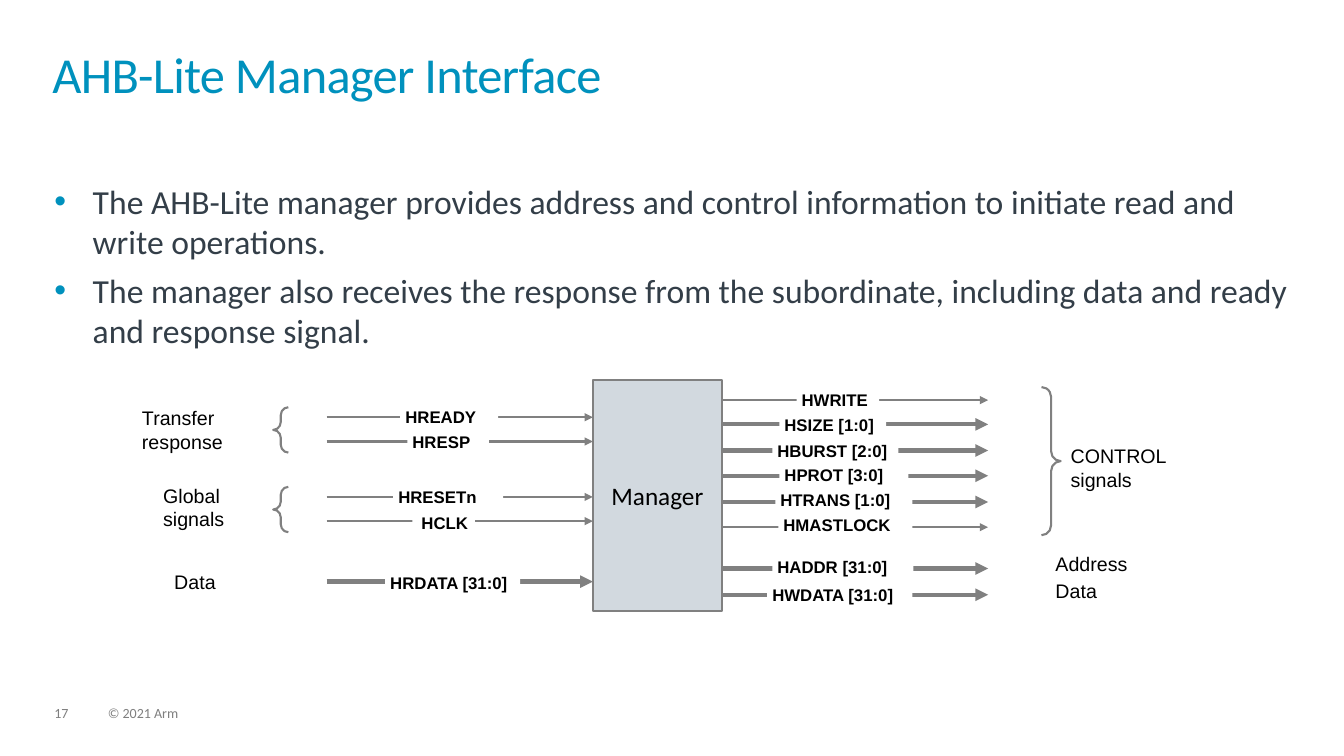
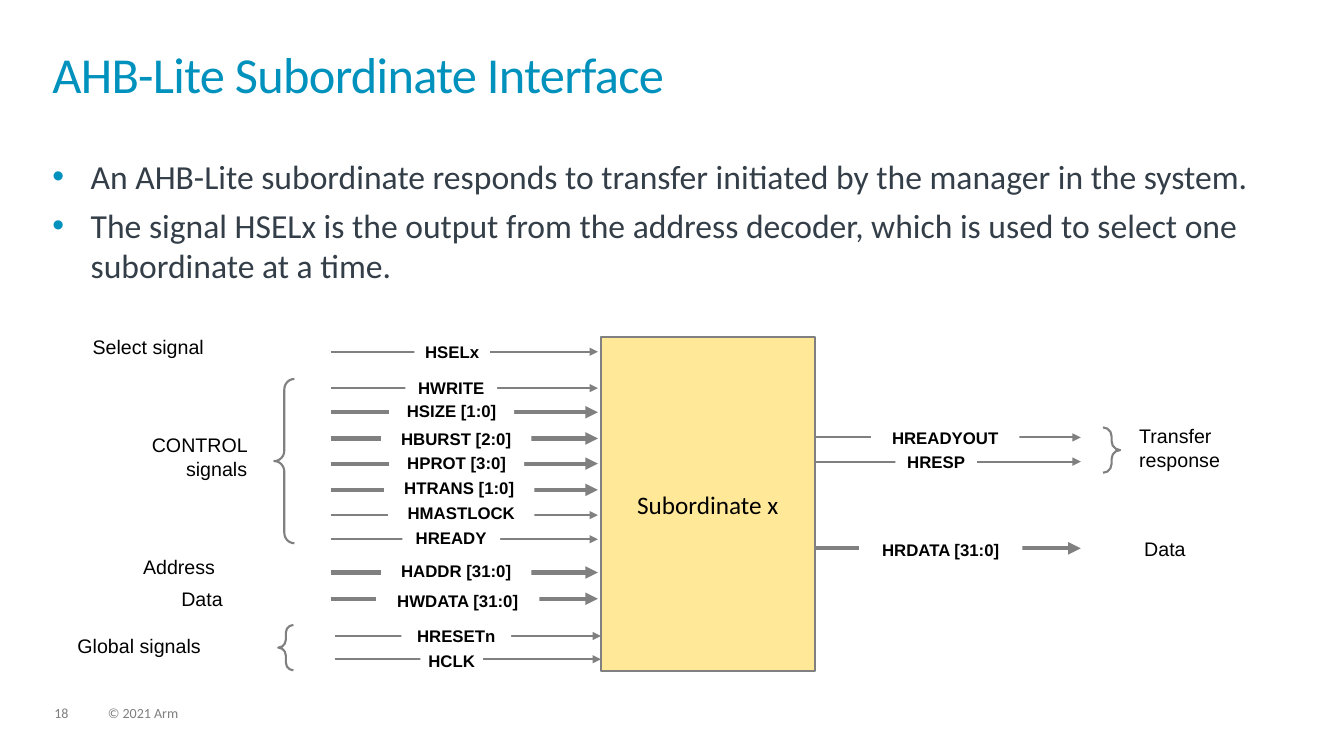
"""Build two slides on the AHB-Lite manager and subordinate interfaces."""

from dataclasses import dataclass
from typing import Any

import lxml.etree
import pptx
import pptx.dml.color
import pptx.enum.shapes
import pptx.enum.text
import pptx.oxml.ns
import pptx.presentation
import pptx.shapes.autoshape
import pptx.slide
import pptx.text.text
import pptx.util

Inches = pptx.util.Inches
Pt = pptx.util.Pt
RGBColor = pptx.dml.color.RGBColor
Align = pptx.enum.text.PP_ALIGN
Anchor = pptx.enum.text.MSO_ANCHOR
AutoSize = pptx.enum.text.MSO_AUTO_SIZE
Preset = pptx.enum.shapes.MSO_SHAPE
qn = pptx.oxml.ns.qn


@dataclass(frozen=True)
class TextStyle:
    font: str
    size: float
    color: RGBColor
    bold: bool = False


@dataclass(frozen=True)
class Theme:
    accent: RGBColor = RGBColor(0x00, 0x91, 0xBD)
    ink: RGBColor = RGBColor(0x33, 0x3E, 0x48)
    black: RGBColor = RGBColor(0, 0, 0)
    white: RGBColor = RGBColor(0xFF, 0xFF, 0xFF)
    line: RGBColor = RGBColor(0x80, 0x80, 0x80)
    muted: RGBColor = RGBColor(0x7F, 0x7F, 0x7F)
    manager: RGBColor = RGBColor(0xD2, 0xD9, 0xDF)
    subordinate: RGBColor = RGBColor(0xFF, 0xE9, 0x99)
    title: TextStyle = TextStyle("Calibri", 36, accent)
    body: TextStyle = TextStyle("Calibri", 24, ink)
    block: TextStyle = TextStyle("Calibri", 18, black)
    group: TextStyle = TextStyle("Arial", 14, black)
    signal: TextStyle = TextStyle("Arial", 12, black, True)
    footer: TextStyle = TextStyle("Calibri", 10, muted)
    thin: float = 1.5
    thick: float = 3


THEME = Theme()
NO_MARGINS = dict.fromkeys(("margin_left", "margin_top", "margin_right", "margin_bottom"), 0)
FLUSH = {**NO_MARGINS, "word_wrap": True, "vertical_anchor": Anchor.TOP, "auto_size": AutoSize.NONE}
GROWING = {"word_wrap": True, "auto_size": AutoSize.SHAPE_TO_FIT_TEXT}


@dataclass(frozen=True)
class Box:
    left: float
    top: float
    width: float
    height: float

    def lengths(self) -> tuple[int, ...]:
        return tuple(Inches(v) for v in (self.left, self.top, self.width, self.height))


@dataclass(frozen=True)
class Signal:
    name: str
    y: float
    left: float
    width: float
    label_top: float
    indent: float = 0.05


@dataclass(frozen=True)
class Bank:
    start: float
    end: float
    signals: tuple[Signal, ...]


@dataclass(frozen=True)
class Group:
    text: str
    box: Box
    align: Align = Align.LEFT


@dataclass(frozen=True)
class Brace:
    preset: Preset
    box: Box


@dataclass(frozen=True)
class Interface:
    number: int
    title: str
    body_box: Box
    points: tuple[str, ...]
    block: str
    block_box: Box
    block_fill: RGBColor
    signal_align: Align
    banks: tuple[Bank, ...]
    braces: tuple[Brace, ...]
    groups: tuple[Group, ...]


MANAGER = Interface(
    17, "AHB-Lite Manager Interface", Box(0.54, 1.79, 12.23, 4.47),
    ("The AHB-Lite manager provides address and control information to initiate read and write operations.",
     "The manager also receives the response from the subordinate, including data and ready and response signal."),
    "Manager", Box(5.88, 3.77, 1.28, 2.29), THEME.manager, Align.LEFT,
    (
        Bank(7.16, 9.8, (
            Signal("HWRITE", 3.97, 7.9, 0.82, 3.87),
            Signal("HSIZE [1:0]", 4.21, 7.73, 1.06, 4.11),
            Signal("HBURST [2:0]", 4.47, 7.66, 1.25, 4.37),
            Signal("HPROT [3:0]", 4.72, 7.73, 1.28, 4.61),
            Signal("HTRANS [1:0]", 4.98, 7.69, 1.36, 4.86),
            Signal("HMASTLOCK", 5.23, 7.72, 1.33, 5.11),
            Signal("HADDR [31:0]", 5.64, 7.66, 1.4, 5.52),
            Signal("HWDATA [31:0]", 5.9, 7.61, 1.44, 5.8),
        )),
        Bank(3.24, 5.88, (
            Signal("HREADY", 4.14, 3.97, 0.97, 4.04),
            Signal("HRESP", 4.38, 4.04, 0.81, 4.28),
            Signal("HRESETn", 4.93, 3.9, 1.09, 4.83),
            Signal("HCLK", 5.17, 4.09, 0.62, 5.09, 0.09),
            Signal("HRDATA [31:0]", 5.77, 3.82, 1.34, 5.68),
        )),
    ),
    (
        Brace(Preset.RIGHT_BRACE, Box(10.33, 3.84, 0.19, 1.47)),
        Brace(Preset.LEFT_BRACE, Box(2.71, 4.04, 0.15, 0.45)),
        Brace(Preset.LEFT_BRACE, Box(2.71, 4.83, 0.15, 0.45)),
    ),
    (
        Group("CONTROL signals", Box(10.52, 4.36, 1.61, 0.57)),
        Group("Address", Box(10.37, 5.43, 1.61, 0.34)),
        Group("Data", Box(10.37, 5.69, 1.61, 0.34)),
        Group("Transfer response", Box(1.31, 3.98, 1.61, 0.57)),
        Group("Global signals", Box(1.52, 4.75, 1.34, 0.57)),
        Group("Data", Box(1.63, 5.61, 1.34, 0.34)),
    ),
)

SUBORDINATE = Interface(
    18, "AHB-Lite Subordinate Interface", Box(0.52, 1.55, 12.23, 4.47),
    ("An AHB-Lite subordinate responds to transfer initiated by the manager in the system.",
     "The signal HSELx is the output from the address decoder, which is used to select one subordinate at a time."),
    "Subordinate x", Box(5.96, 3.34, 2.12, 3.32), THEME.subordinate, Align.CENTER,
    (
        Bank(3.28, 5.93, (
            Signal("HSELx", 3.49, 4.11, 0.75, 3.39),
            Signal("HWRITE", 3.85, 4.02, 0.91, 3.75),
            Signal("HSIZE [1:0]", 4.09, 3.86, 1.24, 3.98),
            Signal("HBURST [2:0]", 4.35, 3.78, 1.49, 4.25),
            Signal("HPROT [3:0]", 4.6, 3.86, 1.34, 4.49),
            Signal("HTRANS [1:0]", 4.86, 3.81, 1.49, 4.74),
            Signal("HMASTLOCK", 5.11, 3.85, 1.45, 4.99),
            Signal("HREADY", 5.35, 3.99, 0.97, 5.24),
            Signal("HADDR [31:0]", 5.68, 3.78, 1.49, 5.56),
            Signal("HWDATA [31:0]", 5.94, 3.73, 1.62, 5.86),
        )),
        Bank(3.32, 5.96, (
            Signal("HRESETn", 6.31, 3.98, 1.09, 6.21),
            Signal("HCLK", 6.54, 4.17, 0.62, 6.46),
        )),
        Bank(8.08, 10.72, (
            Signal("HREADYOUT", 4.34, 8.64, 1.47, 4.24),
            Signal("HRESP", 4.58, 8.88, 0.81, 4.48),
            Signal("HRDATA [31:0]", 5.44, 8.52, 1.62, 5.35),
        )),
    ),
    (
        Brace(Preset.LEFT_BRACE, Box(2.72, 3.76, 0.2, 1.63)),
        Brace(Preset.LEFT_BRACE, Box(2.76, 6.2, 0.15, 0.45)),
        Brace(Preset.RIGHT_BRACE, Box(10.94, 4.24, 0.17, 0.45)),
    ),
    (
        Group("Select signal", Box(0.82, 3.27, 2.36, 0.34)),
        Group("CONTROL signals", Box(0.94, 4.25, 1.61, 0.57), Align.RIGHT),
        Group("Address", Box(1.32, 5.46, 1.61, 0.34)),
        Group("Data", Box(1.7, 5.77, 1.01, 0.34)),
        Group("Global signals", Box(0.67, 6.24, 2.36, 0.34)),
        Group("Transfer response", Box(11.2, 4.16, 1.61, 0.57)),
        Group("Data", Box(11.25, 5.28, 1.01, 0.34)),
    ),
)


def assign(target: Any, values: dict[str, Any]) -> None:
    for name, value in values.items():
        setattr(target, name, value)


def write(paragraph: pptx.text.text._Paragraph, text: str, style: TextStyle, **layout: Any) -> pptx.text.text._Run:
    assign(paragraph, layout)
    run = paragraph.add_run()
    run.text = text
    assign(run.font, {"name": style.font, "size": Pt(style.size), "bold": style.bold})
    run.font.color.rgb = style.color
    return run


def add_text(slide: pptx.slide.Slide, box: Box, text: str, style: TextStyle,
             frame_values: dict[str, Any], **layout: Any) -> None:
    frame = slide.shapes.add_textbox(*box.lengths()).text_frame
    assign(frame, frame_values)
    write(frame.paragraphs[0], text, style, **layout)


def add_preset(slide: pptx.slide.Slide, preset: Preset, box: Box, fill: RGBColor | None = None,
               outlined: bool = True) -> pptx.shapes.autoshape.Shape:
    shape = slide.shapes.add_shape(preset, *box.lengths())
    shape.shadow.inherit = False
    if fill is None:
        shape.fill.background()
    else:
        shape.fill.solid()
        shape.fill.fore_color.rgb = fill
    if outlined:
        shape.line.color.rgb = THEME.line
        shape.line.width = Pt(THEME.thin)
    else:
        shape.line.fill.background()
    return shape


def add_title(slide: pptx.slide.Slide, text: str) -> None:
    title = slide.shapes.title
    assign(title, dict(zip(("left", "top", "width", "height"), Box(0.52, 0.52, 12.28, 0.72).lengths())))
    assign(title.text_frame, FLUSH)
    run = write(title.text_frame.paragraphs[0], text, THEME.title, alignment=Align.LEFT, line_spacing=0.85)
    run._r.get_or_add_rPr().set("spc", "-50")


def add_points(slide: pptx.slide.Slide, box: Box, points: tuple[str, ...]) -> None:
    frame = slide.shapes.add_textbox(*box.lengths()).text_frame
    assign(frame, FLUSH)
    for index, point in enumerate(points):
        paragraph = frame.add_paragraph() if index else frame.paragraphs[0]
        properties = paragraph._p.get_or_add_pPr()
        properties.set("marL", str(Inches(0.38)))
        properties.set("indent", str(Inches(-0.38)))
        bullet_color = lxml.etree.SubElement(properties, qn("a:buClr"))
        lxml.etree.SubElement(bullet_color, qn("a:srgbClr"), val=str(THEME.accent))
        lxml.etree.SubElement(properties, qn("a:buFont"), typeface="Arial")
        lxml.etree.SubElement(properties, qn("a:buChar"), char="•")
        write(paragraph, point, THEME.body, space_before=Pt(6 if index else 0))


def add_signal(slide: pptx.slide.Slide, bank: Bank, signal: Signal, align: Align) -> None:
    y = Inches(signal.y)
    wire = slide.shapes.add_connector(
        pptx.enum.shapes.MSO_CONNECTOR.STRAIGHT, Inches(bank.start), y, Inches(bank.end), y)
    wire.line.color.rgb = THEME.line
    wire.line.width = Pt(THEME.thick if "[" in signal.name else THEME.thin)
    lxml.etree.SubElement(wire.line._get_or_add_ln(), qn("a:tailEnd"), type="triangle")
    lxml.etree.SubElement(wire._element.spPr, qn("a:effectLst"))
    label_box = Box(signal.left, signal.label_top, signal.width, 0.2)
    label = add_preset(slide, Preset.RECTANGLE, label_box, THEME.white, outlined=False)
    indent = Inches(signal.indent) if align == Align.LEFT else 0
    assign(label.text_frame, {**FLUSH, **GROWING, "margin_left": indent})
    write(label.text_frame.paragraphs[0], signal.name, THEME.signal, alignment=align)


def add_interface(deck: pptx.presentation.Presentation, interface: Interface) -> None:
    slide = deck.slides.add_slide(deck.slide_layouts[5])
    add_title(slide, interface.title)
    add_points(slide, interface.body_box, interface.points)
    block = add_preset(slide, Preset.RECTANGLE, interface.block_box, interface.block_fill)
    assign(block.text_frame, {"word_wrap": False, "vertical_anchor": Anchor.MIDDLE})
    write(block.text_frame.paragraphs[0], interface.block, THEME.block, alignment=Align.CENTER)
    for bank in interface.banks:
        for signal in bank.signals:
            add_signal(slide, bank, signal, interface.signal_align)
    for brace in interface.braces:
        add_preset(slide, brace.preset, brace.box).adjustments[0] = 0.52
    for group in interface.groups:
        add_text(slide, group.box, group.text, THEME.group, GROWING, alignment=group.align)
    for left, width, text in ((0.54, 0.34, str(interface.number)), (1.07, 5.07, "© 2021 Arm")):
        add_text(slide, Box(left, 7.01, width, 0.15), text, THEME.footer, {**FLUSH, **GROWING}, line_spacing=0.9)


def main() -> None:
    deck = pptx.Presentation()
    assign(deck, {"slide_width": Inches(13.33), "slide_height": Inches(7.5)})
    for interface in (MANAGER, SUBORDINATE):
        add_interface(deck, interface)
    deck.save("out.pptx")


if __name__ == "__main__":
    main()
